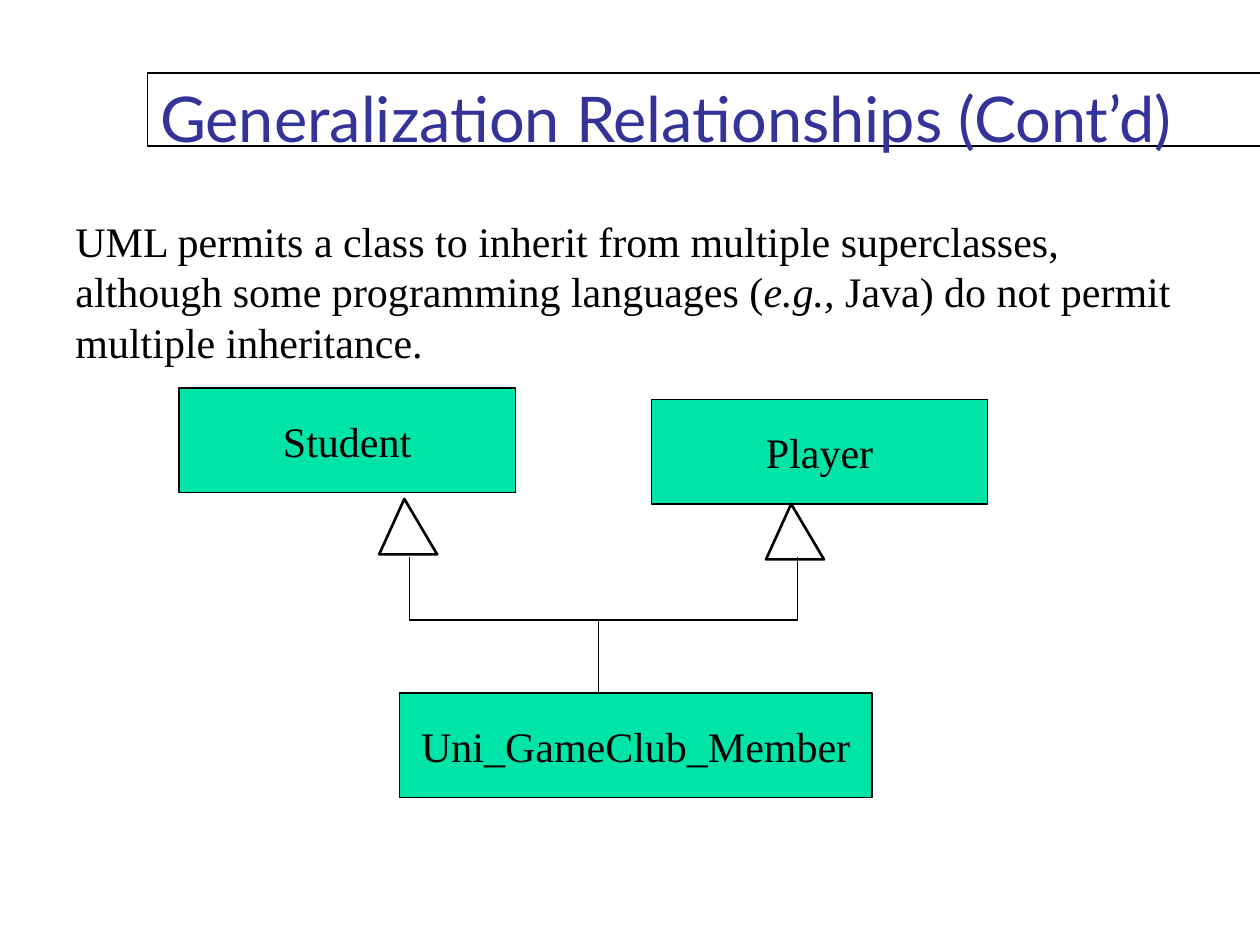
from lxml import etree
from pptx import Presentation
from pptx import util as u
from pptx.dml.color import RGBColor
from pptx.enum import shapes, text
from pptx.oxml import ns

COLORS = {"title": "333399", "ink": "000000", "paper": "FFFFFF", "box": "00E4A8"}
SERIF = "Times New Roman"


def rgb(name):
    return RGBColor.from_string(COLORS[name])


def write(sp, runs, size=24, font=SERIF, color="ink", align=text.PP_ALIGN.LEFT,
          anchor=text.MSO_ANCHOR.TOP, wrap=True):
    tf = sp.text_frame
    tf.auto_size = text.MSO_AUTO_SIZE.NONE
    tf.word_wrap = wrap
    tf.vertical_anchor = anchor
    p = tf.paragraphs[0]
    p.alignment = align
    for content, italic in runs:
        r = p.add_run()
        r.text = content
        r.font.size = u.Pt(size)
        r.font.name = font
        r.font.italic = italic
        r.font.color.rgb = rgb(color)


def paint(sp, fill=None, width=0.75):
    if fill:
        sp.fill.solid()
        sp.fill.fore_color.rgb = rgb(fill)
    else:
        sp.fill.background()
    sp.line.color.rgb = rgb("ink")
    sp.line.width = u.Pt(width)
    sp.shadow.inherit = False


def add_title(s, content):
    sp = s.shapes.title
    sp.left, sp.top = u.Inches(1.17), u.Inches(0.58)
    sp.width, sp.height = u.Inches(10.17), u.Inches(0.58)
    sp.fill.solid()
    sp.fill.fore_color.rgb = rgb("paper")
    sp.line.color.rgb = rgb("ink")
    sp.line.width = u.Pt(0.75)
    write(sp, [(content, False)], size=36, font="Lato", color="title")


def add_body(s, runs):
    sp = s.shapes.add_textbox(u.Inches(0.5), u.Inches(1.66), u.Inches(8.92), u.Inches(1.3))
    write(sp, runs)


def add_class(s, name, x, y, w=2.67):
    sp = s.shapes.add_shape(shapes.MSO_SHAPE.RECTANGLE, u.Inches(x), u.Inches(y),
                            u.Inches(w), u.Inches(0.83))
    paint(sp, "box")
    write(sp, [(name, False)], align=text.PP_ALIGN.CENTER,
          anchor=text.MSO_ANCHOR.MIDDLE, wrap=False)


def add_path(s, points, close=False, fill=None, width=1):
    start, *rest = [(u.Inches(x), u.Inches(y)) for x, y in points]
    builder = s.shapes.build_freeform(*start)
    builder.add_line_segments(rest, close=close)
    paint(builder.convert_to_shape(), fill, width)


def add_triangle(s, x, y):
    points = [(x, y), (x - 0.2, y + 0.44), (x + 0.26, y + 0.44)]
    add_path(s, points, close=True, fill="paper", width=1.5)


def add_line(s, x1, y1, x2, y2):
    line = s.shapes.add_connector(shapes.MSO_CONNECTOR.STRAIGHT, u.Inches(x1), u.Inches(y1),
                                  u.Inches(x2), u.Inches(y2))
    line.line.color.rgb = rgb("ink")
    line.line.width = u.Pt(1)
    etree.SubElement(line._element.spPr, ns.qn("a:effectLst"))


def main():
    prs = Presentation()
    prs.slide_width, prs.slide_height = u.Inches(10), u.Inches(7.5)
    s = prs.slides.add_slide(prs.slide_layouts[5])
    add_title(s, "Generalization Relationships (Cont’d)")
    add_body(s, [
        ("UML permits a class to inherit from multiple superclasses, "
         "although some programming languages (", False),
        ("e.g.,", True),
        (" Java) do not permit multiple inheritance.", False),
    ])
    add_class(s, "Student", 1.42, 3.08)
    add_class(s, "Player", 5.17, 3.17)
    add_class(s, "Uni_GameClub_Member", 3.17, 5.5, w=3.75)
    add_triangle(s, 3.21, 3.96)
    add_triangle(s, 6.28, 4)
    add_path(s, [(3.25, 4.42), (3.25, 4.92), (6.33, 4.92), (6.33, 4.42)])
    add_line(s, 4.75, 4.92, 4.75, 5.5)
    prs.save("out.pptx")


if __name__ == "__main__":
    main()
